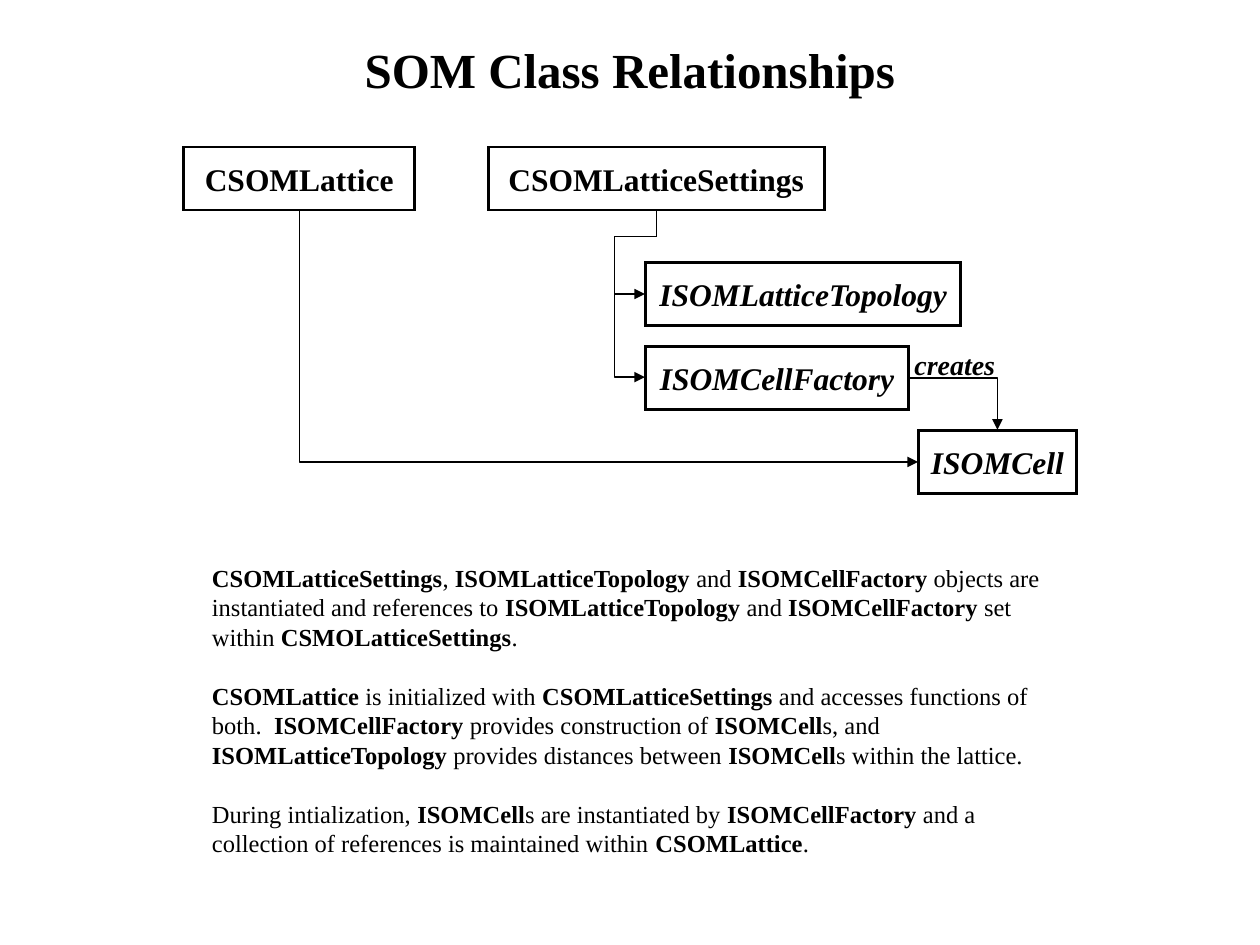
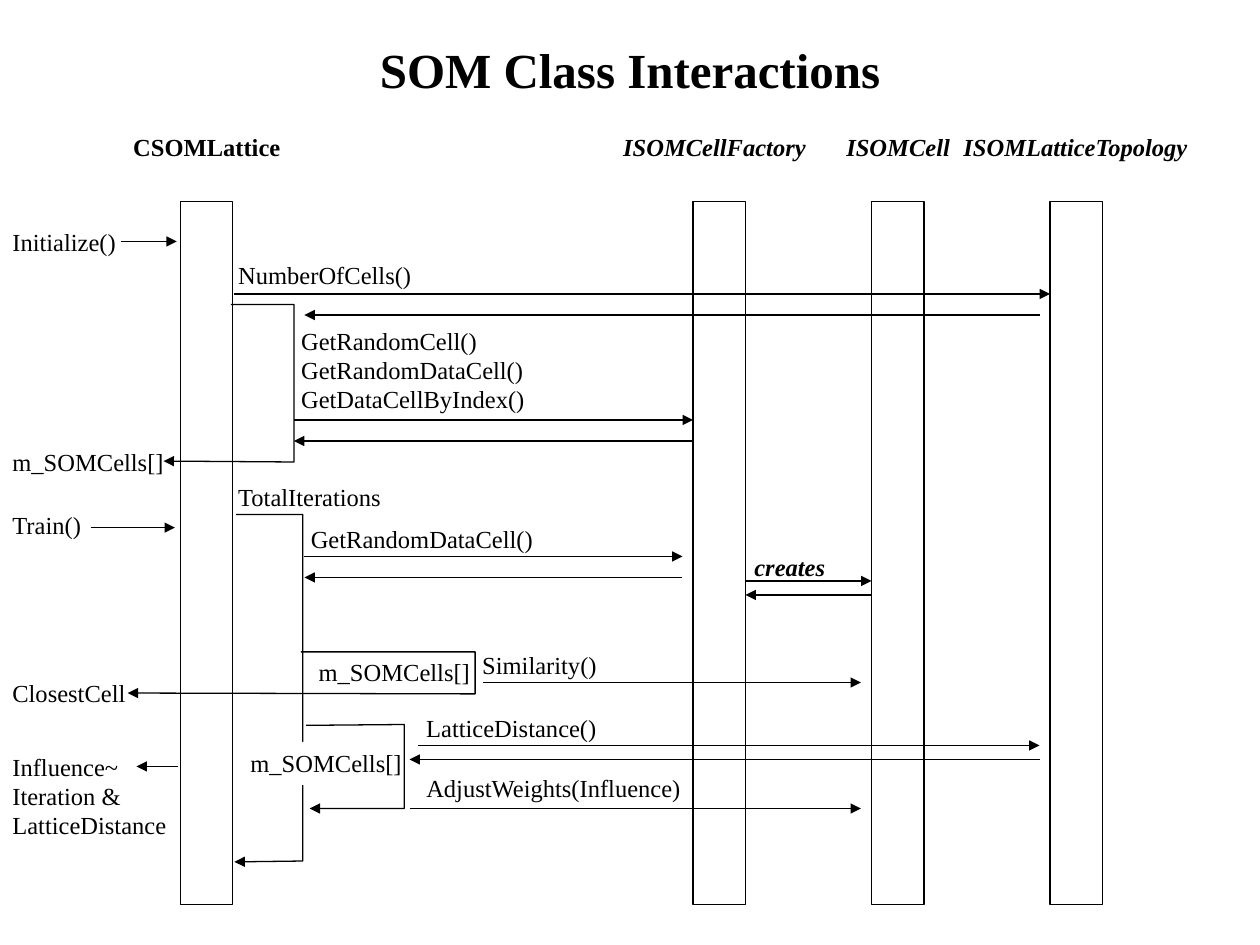
"""Build two slides on the SOM classes: how they relate and how they interact."""
from dataclasses import dataclass

from lxml import etree
from pptx import Presentation
from pptx.dml.color import RGBColor
from pptx.enum.shapes import MSO_CONNECTOR, MSO_SHAPE
from pptx.enum.text import MSO_ANCHOR, PP_ALIGN
from pptx.oxml.ns import qn
from pptx.util import Pt


@dataclass(frozen=True)
class Theme:
    ink: RGBColor = RGBColor(0, 0, 0)
    paper: RGBColor = RGBColor(255, 255, 255)
    font: str = "Times New Roman"
    title: int = 28
    box: int = 18
    link: int = 16
    text: int = 14
    thin: float = 0.75
    thick: float = 1.5


theme = Theme()


def write(shape, text, size, bold=False, italic=False, align=PP_ALIGN.LEFT):
    frame = shape.text_frame
    frame.word_wrap = False
    frame.text = text
    for para in frame.paragraphs:
        para.alignment = align
        for run in para.runs:
            font = run.font
            font.name, font.size = theme.font, Pt(size)
            font.bold, font.italic = bold, italic
            font.color.rgb = theme.ink


def arrow(slide, *stops):
    ends = [(Pt(x), Pt(y)) for x, y in stops]
    if len(ends) == 2:
        shape = slide.shapes.add_connector(MSO_CONNECTOR.STRAIGHT, *ends[0], *ends[1])
    else:
        pen = slide.shapes.build_freeform(*ends[0])
        pen.add_line_segments(ends[1:], close=False)
        shape = pen.convert_to_shape()
        shape.fill.background()
    shape.line.color.rgb = theme.ink
    shape.line.width = Pt(theme.thin)
    props = shape._element.spPr
    etree.SubElement(props.find(qn("a:ln")), qn("a:tailEnd"), type="triangle")
    etree.SubElement(props, qn("a:effectLst"))


deck = Presentation()
deck.slide_width, deck.slide_height = Pt(720), Pt(540)
slides = []
for title, width in (("SOM Class Relationships", 317.5), ("SOM Class Interactions", 300)):
    slide = deck.slides.add_slide(deck.slide_layouts[6])
    head = slide.shapes.add_textbox(Pt((720 - width) / 2), Pt(19), Pt(width), Pt(41))
    write(head, title, theme.title, bold=True)
    slides.append(slide)
classes, calls = slides

for name, x, y, width in (
    ("CSOMLattice", 105, 84, 132),
    ("ISOMCell", 525, 246, 90),
    ("ISOMCellFactory", 369, 198, 150),
    ("ISOMLatticeTopology", 369, 150, 180),
    ("CSOMLatticeSettings", 279, 84, 192),
):
    box = classes.shapes.add_shape(MSO_SHAPE.RECTANGLE, Pt(x), Pt(y), Pt(width), Pt(36))
    box.shadow.inherit = False
    box.fill.background()
    box.line.color.rgb = theme.ink
    box.line.width = Pt(theme.thick)
    etree.SubElement(box._element.spPr.find(qn("a:ln")), qn("a:miter"), lim="800000")
    box.text_frame.vertical_anchor = MSO_ANCHOR.MIDDLE
    write(box, name, theme.box, True, name.startswith("I"), PP_ALIGN.CENTER)

arrow(classes, (171, 120), (171, 264), (524.5, 264))
for y in (168, 215.5):
    arrow(classes, (375, 120), (375, 135), (351, 135), (351, y), (368.5, y))
arrow(classes, (519, 216), (570, 216), (570, 245.5))
label = classes.shapes.add_textbox(Pt(515.5), Pt(195), Pt(60.5), Pt(26.5))
write(label, "creates", theme.link, bold=True, italic=True)

notes = (
    "*CSOMLatticeSettings*,* ISOMLatticeTopology *and *ISOMCellFactory* objects are "
    "instantiated and references to *ISOMLatticeTopology *and *ISOMCellFactory* set "
    "within *CSMOLatticeSettings*.",
    "*CSOMLattice* is initialized with *CSOMLatticeSettings* and accesses functions of "
    "both.  *ISOMCellFactory* provides construction of *ISOMCell*s, and "
    "*ISOMLatticeTopology* provides distances between *ISOMCell*s within the lattice.",
    "During intialization, *ISOMCell*s are instantiated by *ISOMCellFactory* and a "
    "collection of references is maintained within *CSOMLattice*.",
)
body = classes.shapes.add_textbox(Pt(114), Pt(318), Pt(492), Pt(176))
frame = body.text_frame
frame.word_wrap = True
for i, note in enumerate(notes):
    para = frame.paragraphs[0] if i == 0 else frame.add_paragraph()
    para.space_before = Pt(17 if i else 0)
    for j, part in enumerate(note.split("*")):
        if part:
            run = para.add_run()
            run.text = part
            run.font.name, run.font.size = theme.font, Pt(theme.text)
            run.font.bold = j % 2 == 1
            run.font.color.rgb = theme.ink

for x in (103, 396, 498, 600):
    bar = calls.shapes.add_shape(MSO_SHAPE.RECTANGLE, Pt(x), Pt(115), Pt(30), Pt(402))
    bar.shadow.inherit = False
    bar.fill.background()
    bar.line.color.rgb = theme.ink
    bar.line.width = Pt(theme.thin)

for name, x, y, width, bold, italic in (
    ("CSOMLattice", 69, 72, 99, True, False),
    ("ISOMCellFactory", 349, 72, 119, True, True),
    ("ISOMCell", 476.5, 72, 74, True, True),
    ("ISOMLatticeTopology", 543.5, 72, 144, True, True),
    ("creates", 424, 312, 55, True, True),
    ("Initialize()", 0, 126, 74, False, False),
    ("m_SOMCells[]", 0, 252, 102, False, False),
    ("Train()", 0, 288, 55, False, False),
    ("ClosestCell", 0, 384, 80, False, False),
    ("Influence~\nIteration &\nLatticeDistance", 0, 426, 104, False, False),
    ("NumberOfCells()", 129, 145, 115, False, False),
    ("GetRandomCell()\nGetRandomDataCell()\nGetDataCellByIndex()", 165, 182.5, 144, False, False),
    ("TotalIterations", 129, 272, 98, False, False),
    ("GetRandomDataCell()", 170.5, 296, 143, False, False),
    ("m_SOMCells[]", 175, 372, 102, False, False),
    ("Similarity()", 268.5, 368, 81, False, False),
    ("LatticeDistance()", 236.5, 404, 113, False, False),
    ("AdjustWeights(Influence)", 236.5, 438, 161.5, False, False),
):
    high = 24.5 + 16.5 * name.count("\n")
    label = calls.shapes.add_textbox(Pt(x), Pt(y), Pt(width), Pt(high))
    write(label, name, theme.text, bold, italic)

arrow(calls, (132, 174), (168, 174), (168, 264), (93.5, 263.5))
arrow(calls, (172, 372.5), (271.5, 372.5), (271.5, 396.5), (73, 396))
arrow(calls, (135, 294), (173, 294), (173, 492), (134, 492.5))

patch = calls.shapes.add_shape(MSO_SHAPE.RECTANGLE, Pt(136), Pt(424), Pt(103), Pt(24.5))
patch.shadow.inherit = False
patch.fill.solid()
patch.fill.fore_color.rgb = theme.paper
patch.line.fill.background()
patch.text_frame.vertical_anchor = MSO_ANCHOR.TOP
write(patch, "m_SOMCells[]", theme.text)
arrow(calls, (175, 414.5), (231, 414), (231, 462), (177, 462))

for start, end, y in (
    (69, 101, 138),
    (134, 600, 168),
    (594, 174, 180),
    (168, 396, 240),
    (396, 168, 252),
    (52, 100, 301.5),
    (174, 390, 318),
    (390, 174, 330),
    (426, 498, 332),
    (498, 426, 340),
    (276, 492, 390),
    (239, 594, 426),
    (594, 234, 434),
    (102, 78, 438),
    (234, 492, 462),
):
    arrow(calls, (start, y), (end, y))

deck.save("out.pptx")
